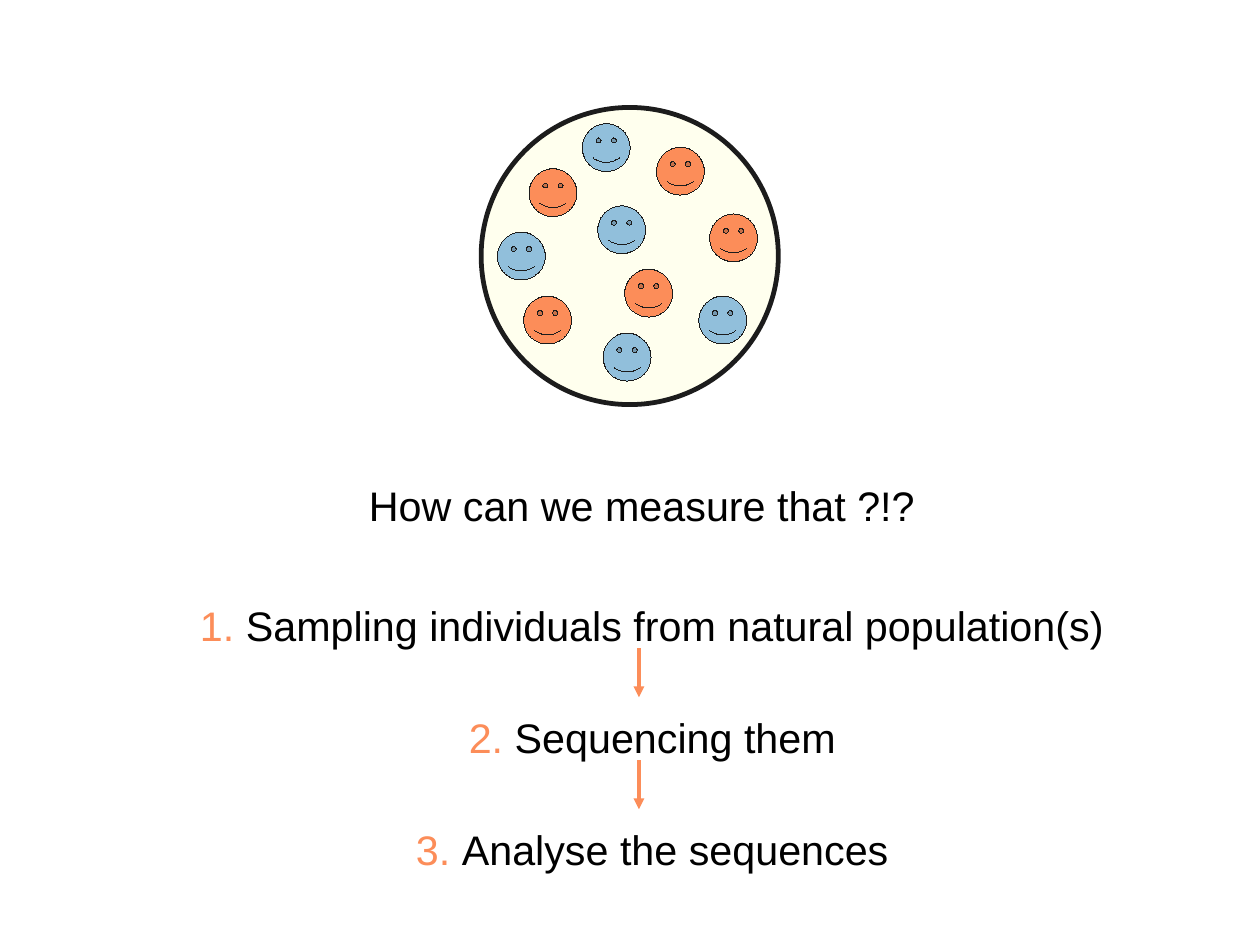
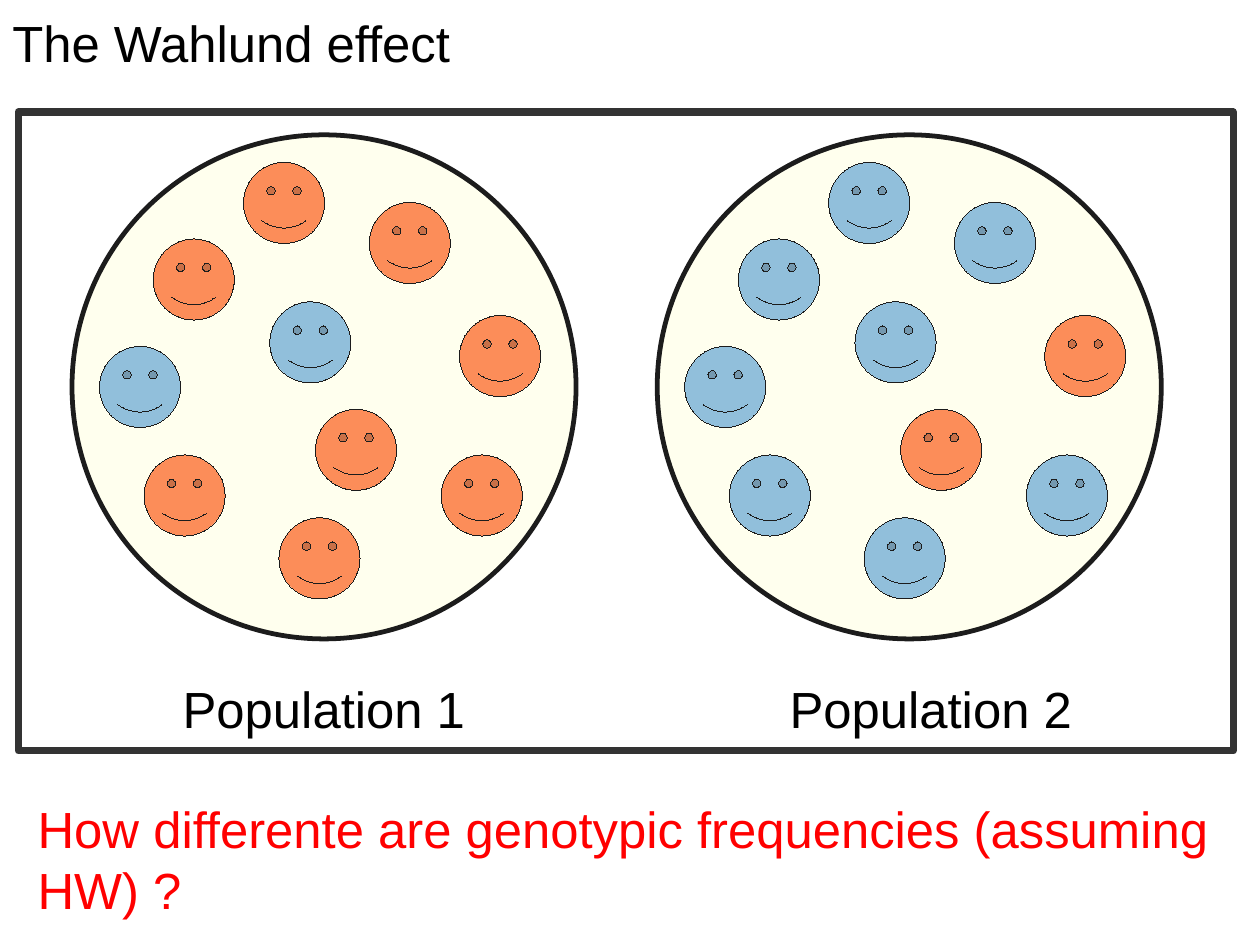
"""Two slides on measuring allele frequencies and the Wahlund effect."""
from lxml.etree import SubElement
from pptx import Presentation
from pptx.dml.color import RGBColor
from pptx.enum.shapes import MSO_CONNECTOR, MSO_SHAPE
from pptx.enum.text import MSO_AUTO_SIZE, PP_ALIGN
from pptx.oxml.ns import qn
from pptx.util import Inches, Pt

CM_PER_INCH = 2.54
SLIDE_WIDTH = Inches(28 / CM_PER_INCH)
SLIDE_HEIGHT = Inches(21 / CM_PER_INCH)

ORANGE = RGBColor(0xFC, 0x8D, 0x59)
BLUE = RGBColor(0x91, 0xBF, 0xDB)
CREAM = RGBColor(0xFF, 0xFF, 0xBF)
INK = RGBColor(0x1C, 0x1C, 0x1C)
GREY = RGBColor(0x33, 0x33, 0x33)
BLACK = RGBColor(0, 0, 0)
RED = RGBColor(0xFF, 0, 0)
FONT = "Arial"
BODY_SIZE, LARGE_SIZE = 26, 32

DISH_SIZE = 4.41
FACE_SIZE = 0.71
FACE_OFFSETS = [
    (0.71, 0.91), (2.13, 2.4), (2.6, 0.59), (3.39, 1.58), (1.5, 0.24),
    (0.63, 2.8), (3.23, 2.8), (0.24, 1.85), (1.73, 1.46), (1.81, 3.35),
]
FACE_COLOURS = {"o": ORANGE, "b": BLUE}

MIXED_FACES = "oooobobbbb"
QUESTION = "How can we measure that ?!?"
STEPS = [
    "Sampling individuals from natural population(s)",
    "Sequencing them",
    "Analyse the sequences",
]
STEP_TOP, STEP_PITCH = 5.2, 0.98
ARROW_X, ARROW_OFFSET, ARROW_LENGTH = 5.59, 0.47, 0.43

TITLE = "The Wahlund effect"
POPULATIONS = [
    ("Population 1", "ooooooobbo", 0.63, 1.5),
    ("Population 2", "bobobbbbbb", 5.75, 6.81),
]
CONCLUSION = "How differente are genotypic frequencies (assuming HW) ?"


def add_outlined(slide, kind, box, fill, line_colour, line_width):
    shape = slide.shapes.add_shape(kind, *map(Inches, box))
    shape.shadow.inherit = False
    if fill is None:
        shape.fill.background()
    else:
        shape.fill.solid()
        shape.fill.fore_color.rgb = fill
    shape.line.color.rgb = line_colour
    shape._element.spPr.find(qn("a:ln")).set("w", str(Pt(line_width)))
    return shape


def add_dish(slide, left, top, size, faces):
    scale = size / DISH_SIZE
    dish = add_outlined(slide, MSO_SHAPE.OVAL, (left, top, size, size), CREAM, INK, 3)
    colour = dish._element.spPr.find(qn("a:solidFill")).find(qn("a:srgbClr"))
    SubElement(colour, qn("a:alpha"), val="26000")
    face_size = FACE_SIZE * scale
    for (x, y), face in zip(FACE_OFFSETS, faces):
        box = (left + x * scale, top + y * scale, face_size, face_size)
        smiley = add_outlined(slide, MSO_SHAPE.SMILEY_FACE, box, FACE_COLOURS[face], INK, 0)
        smiley.adjustments[0] = 0.09


def add_text(slide, box, runs, size, align=PP_ALIGN.LEFT, wrap=True):
    frame = slide.shapes.add_textbox(*map(Inches, box)).text_frame
    frame.word_wrap = wrap
    frame.auto_size = MSO_AUTO_SIZE.SHAPE_TO_FIT_TEXT
    paragraph = frame.paragraphs[0]
    paragraph.alignment = align
    for text, colour in runs:
        run = paragraph.add_run()
        run.text = text
        run.font.name = FONT
        run.font.size = Pt(size)
        run.font.color.rgb = colour


def add_down_arrow(slide, x, top, length):
    ends = map(Inches, (x, top, x, top + length))
    arrow = slide.shapes.add_connector(MSO_CONNECTOR.STRAIGHT, *ends)
    arrow.line.color.rgb = ORANGE
    arrow.line.width = Pt(2.3)
    properties = arrow._element.spPr
    SubElement(properties.find(qn("a:ln")), qn("a:tailEnd"), type="triangle")
    SubElement(properties, qn("a:effectLst"))


def build_measuring_slide(slide):
    add_dish(slide, 4.21, 0.94, 2.6, MIXED_FACES)
    add_text(slide, (1.63, 4.15, 7.98, 0.59), [(QUESTION, BLACK)], BODY_SIZE, PP_ALIGN.CENTER)
    for index, step in enumerate(STEPS):
        top = STEP_TOP + index * STEP_PITCH
        runs = [(f"{index + 1}. ", ORANGE), (step, BLACK)]
        add_text(slide, (0.91, top, 9.6, 0.59), runs, BODY_SIZE, PP_ALIGN.CENTER)
        if index < len(STEPS) - 1:
            add_down_arrow(slide, ARROW_X, top + ARROW_OFFSET, ARROW_LENGTH)


def build_wahlund_slide(slide):
    add_text(slide, (0.01, 0.05, 4.25, 0.7), [(TITLE, BLACK)], LARGE_SIZE, wrap=False)
    for label, faces, dish_left, label_left in POPULATIONS:
        add_dish(slide, dish_left, 1.18, DISH_SIZE, faces)
        add_text(slide, (label_left, 5.88, 2.84, 0.7), [(label, BLACK)], LARGE_SIZE, wrap=False)
    frame = add_outlined(slide, MSO_SHAPE.RECTANGLE, (0.16, 0.98, 10.63, 5.59), None, GREY, 4.5)
    SubElement(frame._element.spPr.find(qn("a:ln")), qn("a:round"))
    add_text(slide, (0.23, 6.93, 10.79, 1.31), [(CONCLUSION, RED)], LARGE_SIZE)


def main():
    presentation = Presentation()
    presentation.slide_width = SLIDE_WIDTH
    presentation.slide_height = SLIDE_HEIGHT
    for build in (build_measuring_slide, build_wahlund_slide):
        build(presentation.slides.add_slide(presentation.slide_layouts[6]))
    presentation.save("out.pptx")


if __name__ == "__main__":
    main()
